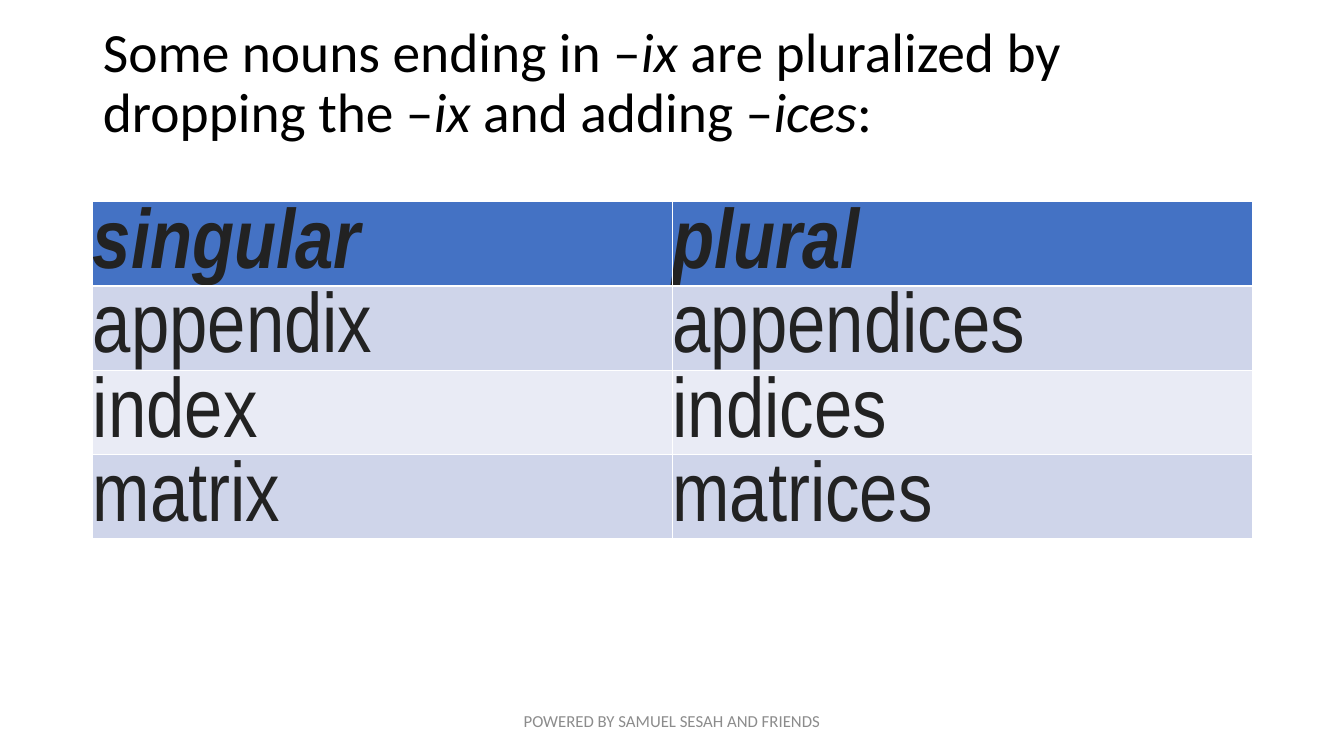
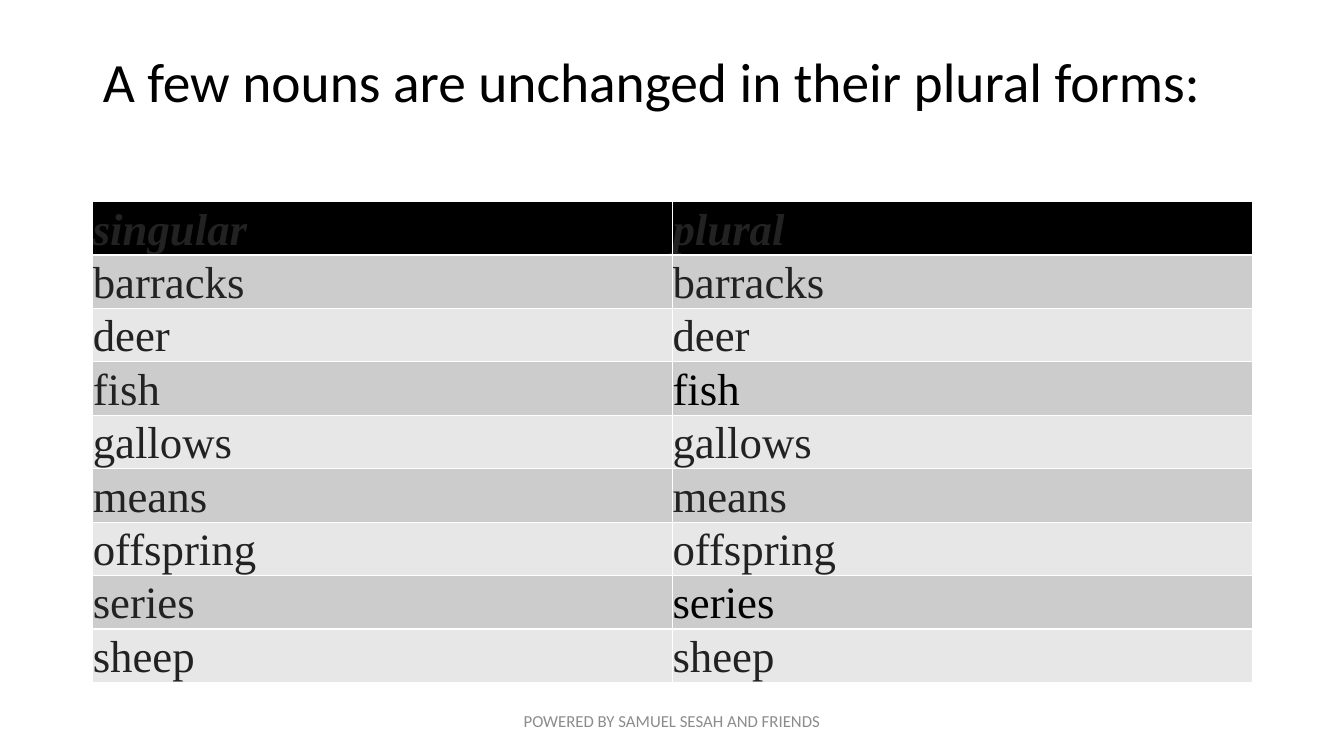
from pptx import Presentation
from pptx.dml.color import RGBColor as Color
from pptx.enum.text import MSO_ANCHOR as Anchor, MSO_AUTO_SIZE as Fit, PP_ALIGN as Align
from pptx.util import Inches, Pt

WIDE, HIGH = Inches(13.33), Inches(7.5)
LEFT, SPAN = Inches(0.92), Inches(11.5)
BLACK = Color(0x00, 0x00, 0x00)
INK = Color(0x22, 0x22, 0x22)
GREY = Color(0x8C, 0x8C, 0x8C)
BLUE = (Color(0x44, 0x72, 0xC4), Color(0xCF, 0xD5, 0xEA), Color(0xE9, 0xEB, 0xF5))
MONO = (BLACK, Color(0xCC, 0xCC, 0xCC), Color(0xE7, 0xE7, 0xE7))
HEAD = ("singular", "plural")
FOOT = "POWERED BY SAMUEL SESAH AND FRIENDS"


def style(font, face, size, color, bold=False, slant=False):
    """Set the face, size, colour, weight and slant of a font."""
    font.name, font.size = face, Pt(size)
    font.color.rgb = color
    font.bold, font.italic = bold, slant


def add_title(slide, parts):
    """Fill the title from parts that alternate between upright and italic."""
    title = slide.shapes.title
    title.left, title.top = LEFT, Inches(0.4)
    title.width, title.height = SPAN, Inches(1.45)
    frame = title.text_frame
    frame.auto_size, frame.word_wrap = Fit.NONE, True
    frame.vertical_anchor = Anchor.MIDDLE
    frame.margin_bottom = Inches(0.63)
    para = frame.paragraphs[0]
    para.alignment, para.line_spacing = Align.LEFT, 0.9
    for i, part in enumerate(parts):
        run = para.add_run()
        run.text = part
        style(run.font, "Calibri", 39.6, BLACK, slant=i % 2 == 1)


def fill_cell(cell, word, fill, face, size, color, head):
    """Write one word in a cell without insets."""
    cell.margin_left = cell.margin_right = 0
    cell.margin_top = cell.margin_bottom = 0
    cell.fill.solid()
    cell.fill.fore_color.rgb = fill
    para = cell.text_frame.paragraphs[0]
    para.text = word
    para.line_spacing, para.space_after = 1.07, Pt(8)
    style(para.runs[0].font, face, size, color, head, head)


def add_words(slide, pairs, fills, face, size, step, dark=()):
    """Add a two-column word table; plurals listed in dark are black."""
    rows = [HEAD, *pairs]
    box = slide.shapes.add_table(len(rows), 2, LEFT, Inches(2), SPAN, Inches(step * len(rows)))
    for r, pair in enumerate(rows):
        box.table.rows[r].height = Inches(step)
        fill = fills[2 - r % 2] if r else fills[0]
        for c, word in enumerate(pair):
            color = BLACK if c and word in dark else INK
            fill_cell(box.table.cell(r, c), word, fill, face, size, color, r == 0)


def add_foot(slide):
    """Add the centred footer line."""
    wide = Inches(4.5)
    box = slide.shapes.add_textbox((WIDE - wide) // 2, Inches(6.95), wide, Inches(0.4))
    frame = box.text_frame
    frame.word_wrap, frame.vertical_anchor = True, Anchor.MIDDLE
    para = frame.paragraphs[0]
    para.text, para.alignment = FOOT, Align.CENTER
    style(para.runs[0].font, "Calibri", 12, GREY)


def add_page(deck, title, *words, **more):
    """Add a slide with a title, a word table and the footer."""
    slide = deck.slides.add_slide(deck.slide_layouts[5])
    add_title(slide, title)
    add_words(slide, *words, **more)
    add_foot(slide)


def main():
    """Build and save the deck."""
    deck = Presentation()
    deck.slide_width, deck.slide_height = WIDE, HIGH
    title = ("Some nouns ending in –", "ix ", "are pluralized by dropping the –",
             "ix ", "and adding –", "ices", ":")
    pairs = [("appendix", "appendices"), ("index", "indices"), ("matrix", "matrices")]
    add_page(deck, title, pairs, BLUE, "Arial Narrow", 60, 0.83)
    same = ("barracks", "deer", "fish", "gallows", "means", "offspring", "series", "sheep")
    add_page(deck, ("A few nouns are unchanged in their plural forms:",),
             [(word, word) for word in same], MONO, "Times New Roman", 32, 0.53,
             dark=("fish", "series"))
    deck.save("out.pptx")


if __name__ == "__main__":
    main()
